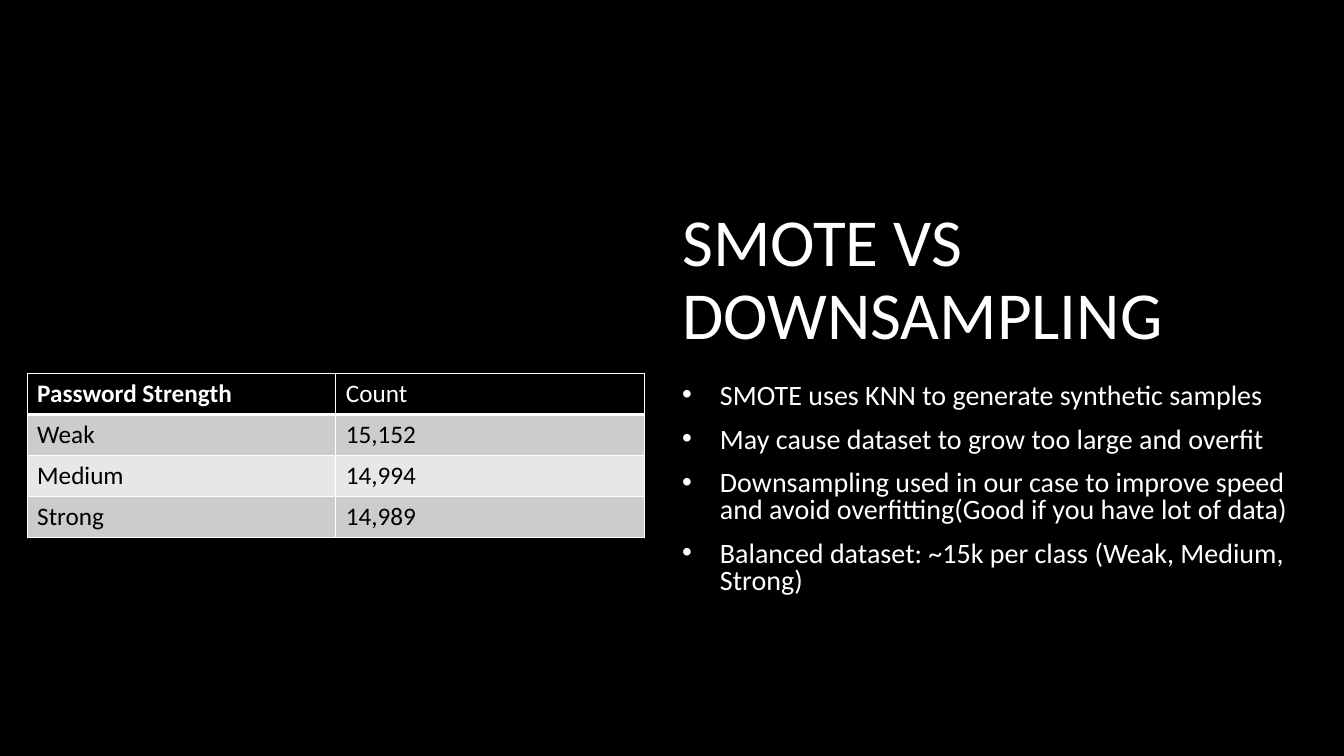
from lxml import etree
from pptx import Presentation
from pptx.dml.color import RGBColor
from pptx.enum.text import MSO_ANCHOR, MSO_AUTO_SIZE, PP_ALIGN
from pptx.oxml.ns import qn
from pptx.util import Pt

TITLE = "SMOTE VS DOWNSAMPLING"
BULLETS = [
    "SMOTE uses KNN to generate synthetic samples",
    "May cause dataset to grow too large and overfit",
    "Downsampling used in our case to improve speed and avoid overfitting(Good if you have lot of data)",
    "Balanced dataset: ~15k per class (Weak, Medium, Strong)",
]
ROWS = [
    ("Password Strength", "Count"),
    ("Weak", "15,152"),
    ("Medium", "14,994"),
    ("Strong", "14,989"),
]

BLACK = RGBColor(0x00, 0x00, 0x00)
WHITE = RGBColor(0xFF, 0xFF, 0xFF)
BANDS = (RGBColor(0xE7, 0xE7, 0xE7), RGBColor(0xCC, 0xCC, 0xCC))
FONT = "Calibri"
LEFT = PP_ALIGN.LEFT
TOP = MSO_ANCHOR.TOP
BOTTOM = MSO_ANCHOR.BOTTOM
NO_FIT = MSO_AUTO_SIZE.NONE

TEXT_LEFT = 480.2
TABLE_LEFT, TABLE_TOP = 19.4, 266.9
COL_W, ROW_H = 220.5, 29.2
INDENT = 27


def style(p, size, color, bold=False):
    p.alignment = LEFT
    p.font.name = FONT
    p.font.size = Pt(size)
    p.font.bold = bold
    p.font.color.rgb = color


def add_bullet(p):
    pPr = p._p.get_or_add_pPr()
    pPr.set("marL", str(Pt(INDENT)))
    pPr.set("indent", str(-Pt(INDENT)))
    font = etree.Element(qn("a:buFont"), typeface="Arial")
    char = etree.Element(qn("a:buChar"), char="•")
    pPr.find(qn("a:spcAft")).addnext(font)
    font.addnext(char)


def add_borders(cell, bottom):
    tcPr = cell._tc.get_or_add_tcPr()
    for side, width in (("L", 1), ("R", 1), ("T", 1), ("B", bottom)):
        ln = etree.SubElement(tcPr, qn("a:ln" + side), w=str(Pt(width)))
        fill = etree.SubElement(ln, qn("a:solidFill"))
        etree.SubElement(fill, qn("a:srgbClr"), val=str(WHITE))


prs = Presentation()
prs.slide_width, prs.slide_height = Pt(960), Pt(540)
s = prs.slides.add_slide(prs.slide_layouts[5])
s.background.fill.solid()
s.background.fill.fore_color.rgb = BLACK

title = s.shapes.title
title.left, title.top = Pt(TEXT_LEFT), Pt(134.6)
title.width, title.height = Pt(386), Pt(121.7)
tf = title.text_frame
tf.text = TITLE
tf.word_wrap = True
tf.auto_size = NO_FIT
tf.vertical_anchor = BOTTOM
p = tf.paragraphs[0]
p.line_spacing = 0.9
style(p, 48, WHITE)

body = s.shapes.add_textbox(Pt(TEXT_LEFT), Pt(270.7), Pt(454.3), Pt(226))
tf = body.text_frame
tf.word_wrap = True
tf.auto_size = NO_FIT
tf.vertical_anchor = TOP
tf.text = "\n".join(BULLETS)
for p in tf.paragraphs:
    style(p, 20, WHITE)
    p.line_spacing = 0.8
    p.space_after = Pt(12)
    add_bullet(p)

n_rows, n_cols = len(ROWS), len(ROWS[0])
table = s.shapes.add_table(n_rows, n_cols, Pt(TABLE_LEFT), Pt(TABLE_TOP),
                           Pt(COL_W * n_cols), Pt(ROW_H * n_rows)).table
for col in table.columns:
    col.width = Pt(COL_W)
for i, row in enumerate(ROWS):
    header = i == 0
    table.rows[i].height = Pt(ROW_H)
    for j, text in enumerate(row):
        cell = table.cell(i, j)
        cell.text = text
        add_borders(cell, 3 if header else 1)
        cell.fill.solid()
        cell.fill.fore_color.rgb = BLACK if header else BANDS[i % 2]
        style(cell.text_frame.paragraphs[0], 18,
              WHITE if header else BLACK, header and j == 0)

prs.save("out.pptx")
